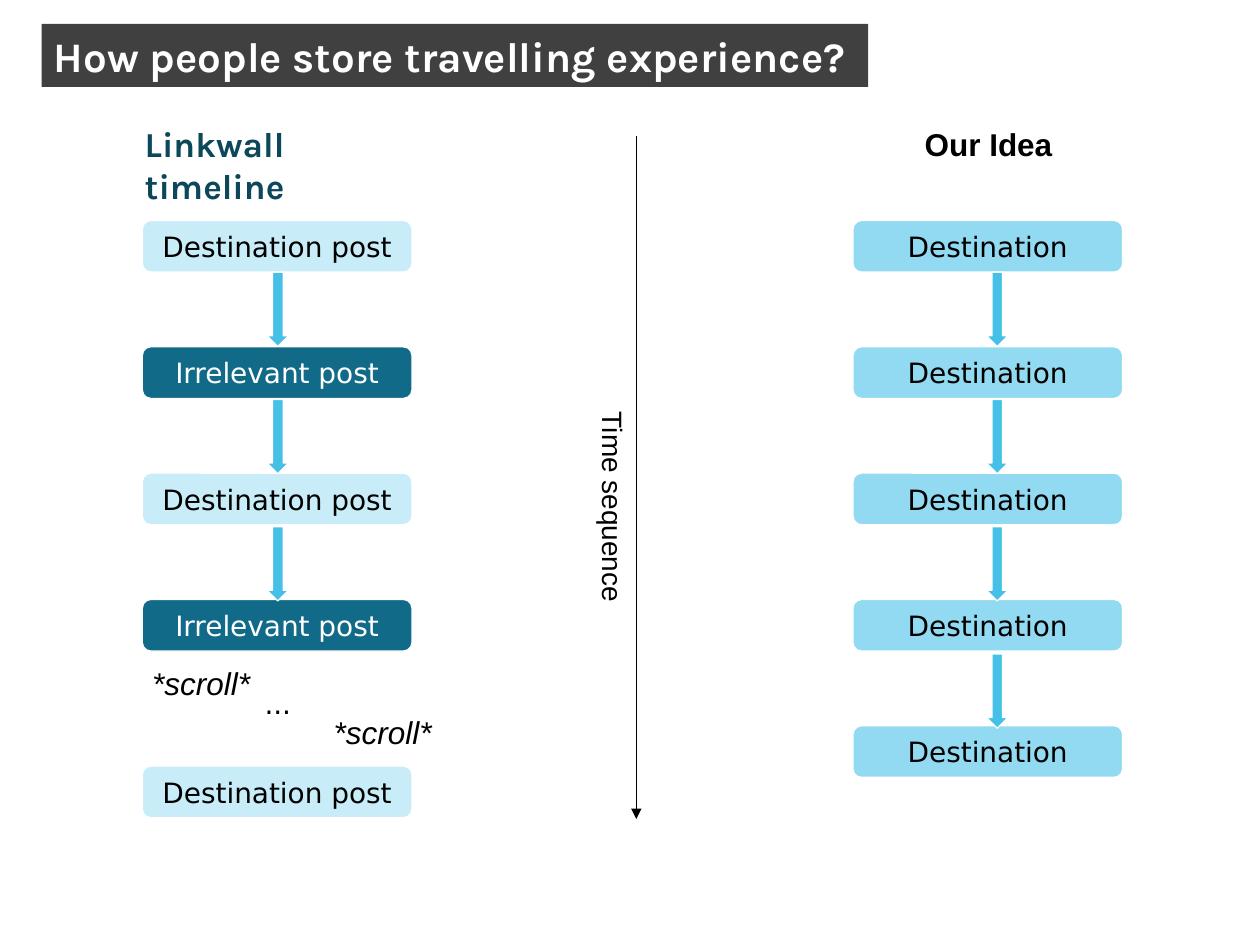
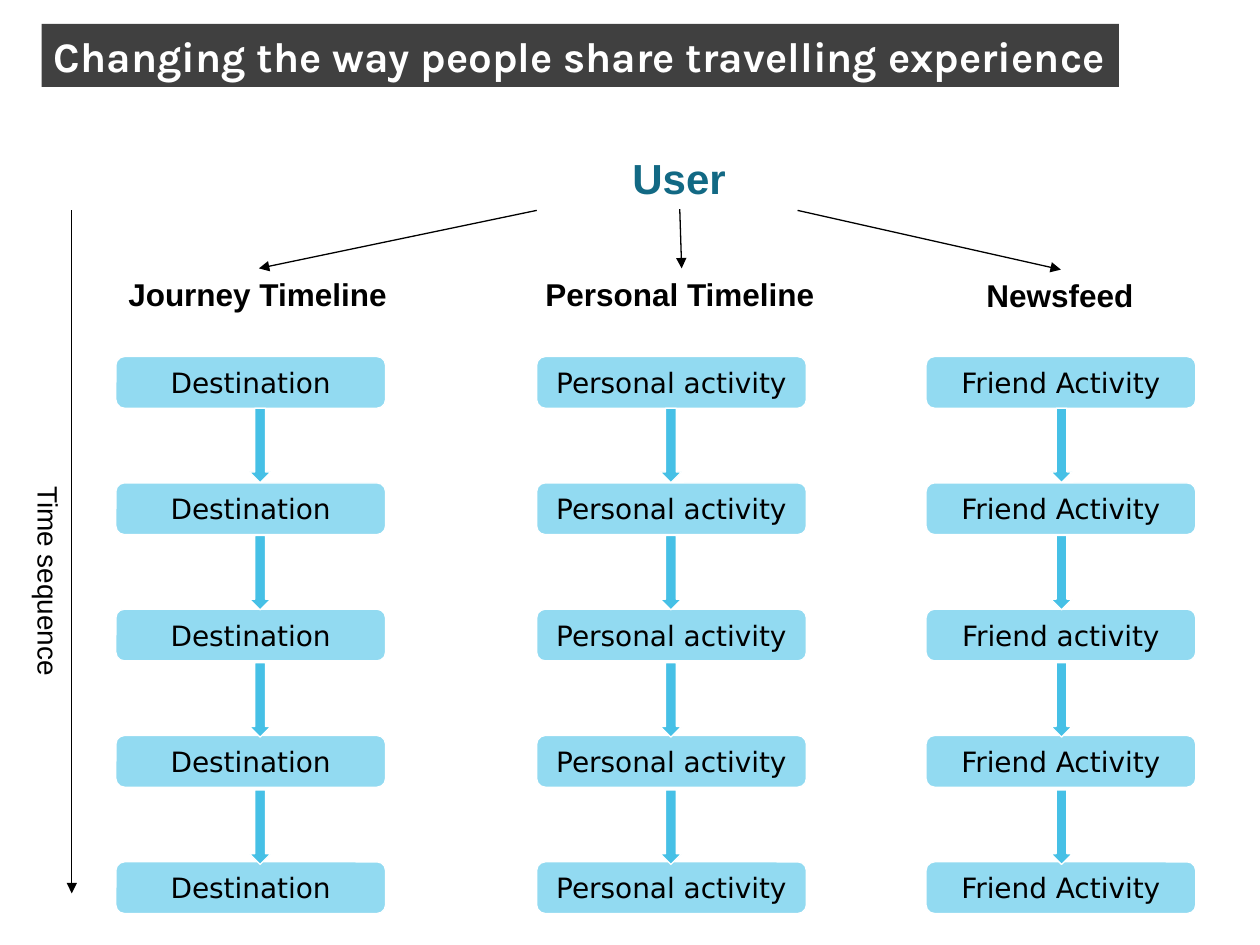
from lxml.etree import SubElement
from pptx import Presentation
from pptx.dml.color import RGBColor
from pptx.enum.shapes import MSO_CONNECTOR, MSO_SHAPE
from pptx.enum.text import MSO_ANCHOR, PP_ALIGN
from pptx.oxml.ns import qn
from pptx.util import Inches, Pt

BLACK = RGBColor(0x00, 0x00, 0x00)
WHITE = RGBColor(0xFF, 0xFF, 0xFF)
CHARCOAL = RGBColor(0x40, 0x40, 0x40)
NAVY = RGBColor(0x0C, 0x47, 0x5A)
TEAL = RGBColor(0x12, 0x69, 0x84)
DARK_BLUE = RGBColor(0x11, 0x6B, 0x88)
SKY = RGBColor(0x92, 0xDA, 0xF1)
PALE = RGBColor(0xC9, 0xED, 0xF8)
ARROW_BLUE = RGBColor(0x46, 0xC0, 0xE6)

# Each step: label, fill, text colour
DESTINATION_POST = ("Destination post", PALE, BLACK)
IRRELEVANT_POST = ("Irrelevant post", DARK_BLUE, WHITE)
DESTINATION = ("Destination", SKY, BLACK)
PERSONAL = ("Personal activity", SKY, BLACK)
FRIEND = ("Friend Activity", SKY, BLACK)
FRIEND_LOWER = ("Friend activity", SKY, BLACK)

# Each chain: box left, arrow left, steps from top to bottom
STORE_TITLE = ("How people store travelling experience?", 6.56)
STORE_TOP = 1.75
STORE_CHAINS = [
    (1.13, 2.12, [DESTINATION_POST, IRRELEVANT_POST] * 2),
    (6.77, 7.83, [DESTINATION] * 5),
]
LATER_POST_TOP = 6.08
SCROLLS = [(2.55, 5.61), (1.11, 5.22)]

SHARE_TITLE = ("Changing the way people share travelling experience", 8.55)
SHARE_TOP = 2.83
SHARE_CHAINS = [
    (0.92, 1.98, [DESTINATION] * 5),
    (4.26, 5.24, [PERSONAL] * 5),
    (7.35, 8.34, [FRIEND, FRIEND, FRIEND_LOWER, FRIEND, FRIEND]),
]
# Each heading: text, left, top, width, where its line leaves the user (None: middle of the side)
SHARE_HEADINGS = [
    ("Journey Timeline", 0.92, 2.13, 2.27, 4.26),
    ("Personal Timeline", 4.23, 2.13, 2.36, None),
    ("Newsfeed", 7.73, 2.14, 1.38, 6.33),
]
USER_BOTTOM = 1.67

BOX_WIDTH, BOX_HEIGHT, BOX_STEP = 2.14, 0.41, 4.01 / 4
ARROW_WIDTH, ARROW_HEIGHT, ARROW_STEP = 0.17, 0.59, 1.01
TIME_LENGTH, TIME_LABEL_WIDTH, TIME_LABEL_HEIGHT = 5.42, 0.47, 1.62


def write(shape, text, size, font, color, bold=None, italic=None, align=None):
    paragraph = shape.text_frame.paragraphs[0]
    paragraph.text = text
    paragraph.alignment = align
    paragraph.font.size = Pt(size)
    paragraph.font.name = font
    paragraph.font.color.rgb = color
    paragraph.font.bold = bold
    paragraph.font.italic = italic


def add_label(slide, place, text, size=18, font="Arial", color=BLACK, **style):
    label = slide.shapes.add_textbox(*map(Inches, place))
    label.text_frame.word_wrap = False
    write(label, text, size, font, color, **style)
    return label


def add_block(slide, kind, place, fill, outline=WHITE):
    block = slide.shapes.add_shape(kind, *map(Inches, place))
    block.shadow.inherit = False
    block.fill.solid()
    block.fill.fore_color.rgb = fill
    if outline is None:
        block.line.fill.background()
    else:
        block.line.color.rgb = outline
        block.line.width = Pt(0.75)
    return block


def add_title(slide, text, width):
    band = add_block(slide, MSO_SHAPE.RECTANGLE, (0.33, 0.19, width, 0.5), CHARCOAL, None)
    band.text_frame.word_wrap = False
    band.text_frame.vertical_anchor = MSO_ANCHOR.TOP
    write(band, text, 24, "Karla", WHITE, bold=True, align=PP_ALIGN.LEFT)


def add_step(slide, left, top, step):
    label, fill, color = step
    box = add_block(slide, MSO_SHAPE.ROUNDED_RECTANGLE,
                    (left, top, BOX_WIDTH, BOX_HEIGHT), fill)
    write(box, label, 16, "DejaVu Sans", color, align=PP_ALIGN.CENTER)


def add_chain(slide, top, left, arrow_left, steps):
    """Stack the steps downwards with a block arrow in every gap."""
    for row, step in enumerate(steps):
        add_step(slide, left, top + row * BOX_STEP, step)
    for row in range(len(steps) - 1):
        arrow_top = top + BOX_HEIGHT + row * ARROW_STEP
        add_block(slide, MSO_SHAPE.DOWN_ARROW,
                  (arrow_left, arrow_top, ARROW_WIDTH, ARROW_HEIGHT), ARROW_BLUE)


def add_arrow_line(slide, start, end):
    line = slide.shapes.add_connector(MSO_CONNECTOR.STRAIGHT, *map(Inches, start + end))
    line.line.color.rgb = BLACK
    line.line.width = Pt(0.75)
    properties = line._element.spPr
    SubElement(properties.find(qn("a:ln")), qn("a:tailEnd"), type="triangle")
    SubElement(properties, qn("a:effectLst"))
    return line


def add_time_axis(slide, left, top):
    add_arrow_line(slide, (left, top), (left, top + TIME_LENGTH))
    label = add_label(slide, (left - TIME_LABEL_WIDTH, top + 2.09,
                              TIME_LABEL_WIDTH, TIME_LABEL_HEIGHT), "Time sequence", 16)
    label._element.txBody.bodyPr.set("vert", "vert")


def build_store_slide(slide):
    add_title(slide, *STORE_TITLE)
    network = add_label(slide, (1.05, 0.92, 2.62, 0.44), "Linkwall\vtimeline",
                        20, "Karla", NAVY, bold=True)
    network.text_frame.word_wrap = True
    add_label(slide, (7.24, 0.94, 1.23, 0.4), "Our Idea", bold=True)
    for chain in STORE_CHAINS:
        add_chain(slide, STORE_TOP, *chain)
    add_label(slide, (1.81, 5.4, 0.79, 0.37), "...", 16, "DejaVu Sans",
              align=PP_ALIGN.CENTER)
    for left, top in SCROLLS:
        add_label(slide, (left, top, 0.99, 0.4), "*scroll*", italic=True)
    add_step(slide, STORE_CHAINS[0][0], LATER_POST_TOP, DESTINATION_POST)
    add_time_axis(slide, 5.05, 1.08)


def build_share_slide(slide):
    add_title(slide, *SHARE_TITLE)
    user = add_label(slide, (4.92, 1.16, 0.95, 0.5), "User", 24, color=TEAL, bold=True)
    for text, left, top, width, line_left in SHARE_HEADINGS:
        heading = add_label(slide, (left, top, width, 0.4), text, bold=True)
        start = (line_left or left + width / 2, USER_BOTTOM)
        line = add_arrow_line(slide, start, (left + width / 2, top))
        if line_left is None:
            line.begin_connect(user, 2)
        line.end_connect(heading, 0)
    for chain in SHARE_CHAINS:
        add_chain(slide, SHARE_TOP, *chain)
    add_time_axis(slide, 0.57, 1.67)


def main():
    deck = Presentation()
    deck.slide_width, deck.slide_height = Inches(10), Inches(7.5)
    for build in (build_store_slide, build_share_slide):
        build(deck.slides.add_slide(deck.slide_layouts[6]))
    deck.save("out.pptx")


if __name__ == "__main__":
    main()
